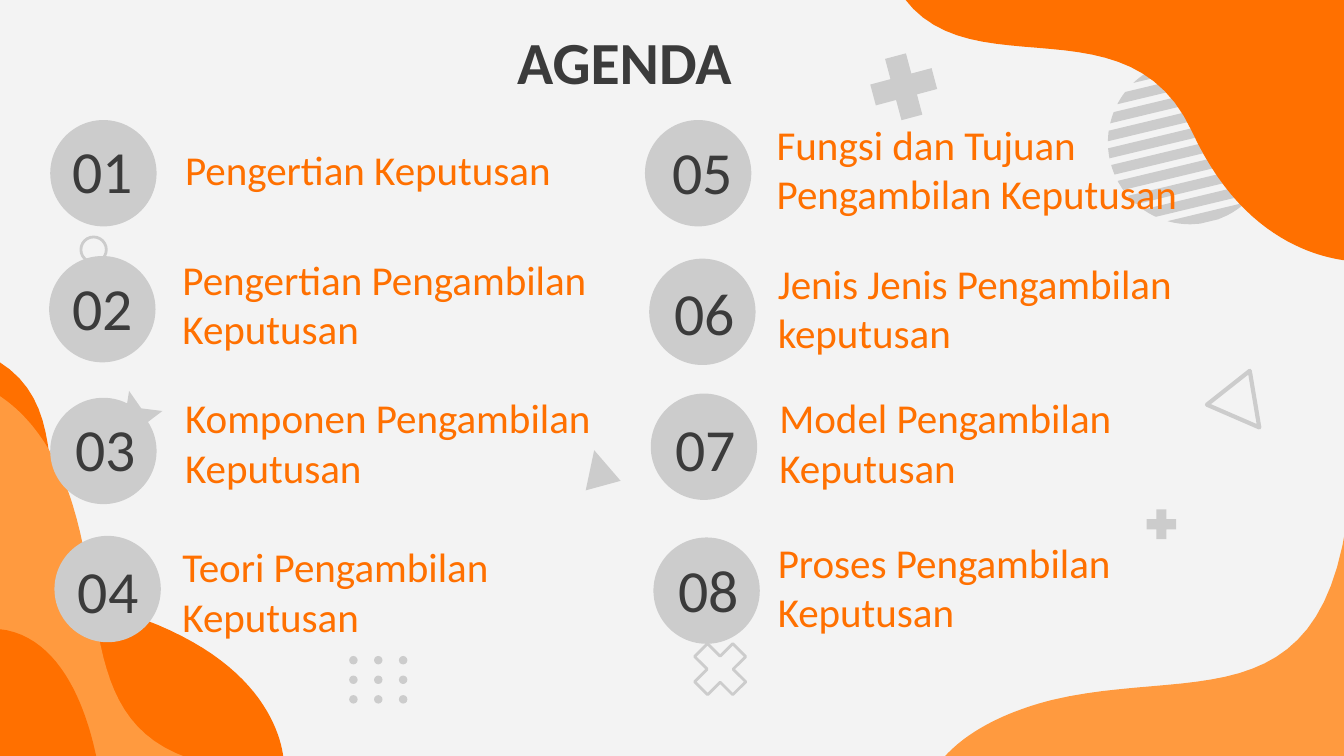
"""Build an agenda slide with eight numbered topics on an orange, organic backdrop."""
from dataclasses import dataclass
from itertools import product
from math import cos, radians, sin, sqrt

from pptx import Presentation
from pptx.dml.color import RGBColor
from pptx.enum.shapes import MSO_SHAPE
from pptx.enum.text import MSO_ANCHOR, MSO_AUTO_SIZE, PP_ALIGN
from pptx.util import Cm, Pt

ORANGE, LIGHT_ORANGE = "FF7000", "FF9A3F"
GREY, DARK, BACKGROUND = "CCCCCC", "3B3B3B", "F3F3F3"
FONT = "Calibri"
BADGE_SIZE = 2.01
NUMBER_WIDTH, NUMBER_HEIGHT = 2.21, 1.32
LABEL_HEIGHT = 1.37

Point = tuple[float, float]


@dataclass
class Topic:
    text: str
    badge: Point
    number: Point
    label: Point
    label_width: float


@dataclass
class Blob:
    color: str
    corner: Point
    edge: Point
    curves: list[tuple[Point, Point, Point]]


@dataclass
class Ornament:
    kind: MSO_SHAPE
    position: Point
    size: float
    rotation: float = 0
    outline: float = 0


TOPICS = [
    Topic("Pengertian Keputusan", (0.95, 2.27), (0.84, 2.54), (3.25, 2.51), 7.8),
    Topic("Pengertian Pengambilan Keputusan", (0.93, 4.84), (0.84, 5.13), (3.2, 5.05), 8.59),
    Topic("Komponen Pengambilan Keputusan", (0.95, 7.52), (0.89, 7.8), (3.25, 7.67), 8.59),
    Topic("Teori Pengambilan Keputusan", (1.03, 10.13), (0.94, 10.49), (3.2, 10.49), 8.59),
    Topic("Fungsi dan Tujuan Pengambilan Keputusan", (12.19, 2.27), (12.17, 2.57), (14.43, 2.5), 8.59),
    Topic("Jenis Jenis Pengambilan keputusan", (12.27, 4.89), (12.22, 5.23), (14.45, 5.13), 8.41),
    Topic("Model Pengambilan Keputusan", (12.3, 7.44), (12.24, 7.8), (14.48, 7.67), 7.77),
    Topic("Proses Pengambilan Keputusan", (12.35, 10.16), (12.29, 10.46), (14.45, 10.41), 7.49),
]

BLOBS = [
    Blob(ORANGE, (25.45, -0.03), (25.48, 4.93), [
        ((24.77, 4.85), (23.42, 4.42), (22.53, 2.49)),
        ((21.36, -0.05), (18.39, 1.7), (17.09, -0.03))]),
    Blob(ORANGE, (-0.03, 14.33), (5.36, 14.33), [
        ((5.28, 13.72), (4.83, 12.5), (2.72, 11.71)),
        ((-0.05, 10.67), (1.85, 8), (-0.03, 6.83))]),
    Blob(LIGHT_ORANGE, (-0.03, 14.33), (3.56, 14.33), [
        ((1.57, 13.64), (2.01, 11.58), (1.37, 9.53)),
        ((1.02, 8.41), (0.48, 7.8), (-0.03, 7.47))]),
    Blob(ORANGE, (-0.03, 14.35), (1.83, 14.35), [
        ((1.68, 13.59), (1.22, 12.01), (-0.03, 11.89))]),
    Blob(LIGHT_ORANGE, (25.45, 14.35), (25.45, 9.88), [
        ((24.89, 13.61), (22.45, 12.62), (19.89, 13.23)),
        ((18.87, 13.49), (18.21, 13.89), (17.81, 14.35))]),
]

ORNAMENTS = [
    Ornament(MSO_SHAPE.OVAL, (1.53, 4.48), 0.48, outline=1.5),
    Ornament(MSO_SHAPE.CROSS, (13.1, 12.14), 1.02, rotation=45, outline=1.5),
    Ornament(MSO_SHAPE.CROSS, (21.67, 9.63), 0.56),
    Ornament(MSO_SHAPE.CROSS, (16.48, 1.04), 1.2, rotation=-15),
    *(Ornament(MSO_SHAPE.OVAL, (6.6 + 0.47 * column, 12.4 + 0.37 * row), 0.16)
      for row, column in product(range(3), repeat=2)),
]


def rgb(color: str) -> RGBColor:
    return RGBColor.from_string(color)


def paint(shape, color: str, outline: float = 0) -> None:
    shape.shadow.inherit = False
    if outline:
        shape.fill.background()
        shape.line.color.rgb = rgb(color)
        shape.line.width = Pt(outline)
    else:
        shape.fill.solid()
        shape.fill.fore_color.rgb = rgb(color)
        shape.line.fill.background()


def draw_polygon(slide, points: list[Point], color: str, outline: float = 0) -> None:
    corners = [(Cm(x), Cm(y)) for x, y in points]
    builder = slide.shapes.build_freeform(*corners[0])
    builder.add_line_segments(corners[1:], close=True)
    paint(builder.convert_to_shape(), color, outline)


def curve_points(start: Point, first: Point, second: Point, end: Point, steps: int = 24) -> list[Point]:
    def blend(a: float, b: float, c: float, d: float, t: float) -> float:
        u = 1 - t
        return a * u**3 + 3 * b * u * u * t + 3 * c * u * t * t + d * t**3

    return [(blend(start[0], first[0], second[0], end[0], step / steps),
             blend(start[1], first[1], second[1], end[1], step / steps))
            for step in range(1, steps + 1)]


def draw_blob(slide, blob: Blob) -> None:
    points = [blob.corner, blob.edge]
    for curve in blob.curves:
        points += curve_points(points[-1], *curve)
    draw_polygon(slide, points, blob.color)


def draw_striped_circle(slide, center: Point, radius: float, angle: float) -> None:
    cosine, sine = cos(radians(angle)), sin(radians(angle))

    def rim(offset: float, side: int) -> Point:
        along = side * sqrt(radius**2 - offset**2)
        return (center[0] + along * cosine + offset * sine,
                center[1] - along * sine + offset * cosine)

    for stripe in range(10):
        offsets = [-1.53 + 0.32 * stripe + 0.19 * step / 6 for step in range(7)]
        points = [rim(offset, -1) for offset in offsets]
        points += [rim(offset, 1) for offset in reversed(offsets)]
        draw_polygon(slide, points, GREY)


def draw_ornament(slide, ornament: Ornament) -> None:
    left, top = ornament.position
    shape = slide.shapes.add_shape(
        ornament.kind, Cm(left), Cm(top), Cm(ornament.size), Cm(ornament.size))
    shape.rotation = ornament.rotation
    if ornament.kind == MSO_SHAPE.CROSS:
        shape.adjustments[0] = 0.33
    paint(shape, GREY, ornament.outline)


def write(shape, text: str, *, size: float, color: str, bold: bool = False,
          align: PP_ALIGN = PP_ALIGN.LEFT) -> None:
    frame = shape.text_frame
    frame.word_wrap = True
    frame.auto_size = MSO_AUTO_SIZE.NONE
    frame.vertical_anchor = MSO_ANCHOR.MIDDLE
    frame.margin_left = frame.margin_right = Cm(0.25)
    frame.margin_top = frame.margin_bottom = Cm(0.25)
    paragraph = frame.paragraphs[0]
    paragraph.alignment = align
    paragraph.line_spacing = 1.0
    run = paragraph.add_run()
    run.text = text
    run.font.name = FONT
    run.font.size = Pt(size)
    run.font.bold = bold
    run.font.color.rgb = rgb(color)


def draw_topic(slide, number: int, topic: Topic) -> None:
    draw_ornament(slide, Ornament(MSO_SHAPE.OVAL, topic.badge, BADGE_SIZE))
    number_box = slide.shapes.add_textbox(
        *map(Cm, (*topic.number, NUMBER_WIDTH, NUMBER_HEIGHT)))
    write(number_box, f"{number:02}", size=32, color=DARK, align=PP_ALIGN.CENTER)
    label_box = slide.shapes.add_textbox(
        *map(Cm, (*topic.label, topic.label_width, LABEL_HEIGHT)))
    write(label_box, topic.text, size=22, color=ORANGE)


def main() -> None:
    presentation = Presentation()
    presentation.slide_width, presentation.slide_height = Cm(25.4), Cm(14.29)
    slide = presentation.slides.add_slide(presentation.slide_layouts[5])
    slide.background.fill.solid()
    slide.background.fill.fore_color.rgb = rgb(BACKGROUND)

    title = slide.shapes.title
    title.left, title.top, title.width, title.height = map(Cm, (9.07, 0.48, 5.46, 1.32))
    write(title, "AGENDA", size=32, color=DARK, bold=True, align=PP_ALIGN.CENTER)

    draw_striped_circle(slide, (22.49, 2.69), 1.55, 13.5)
    for blob in BLOBS:
        draw_blob(slide, blob)
    for ornament in ORNAMENTS:
        draw_ornament(slide, ornament)
    draw_polygon(slide, [(2.44, 7.39), (2.67, 7.72), (3.07, 7.77), (2.29, 8.36)], GREY)
    draw_polygon(slide, [(11.23, 8.51), (11.07, 9.27), (11.73, 9.09)], GREY)
    draw_polygon(slide, [(23.8, 8.08), (23.62, 7.01), (22.81, 7.65)], GREY, 2.25)
    for number, topic in enumerate(TOPICS, start=1):
        draw_topic(slide, number, topic)
    presentation.save("out.pptx")


if __name__ == "__main__":
    main()
